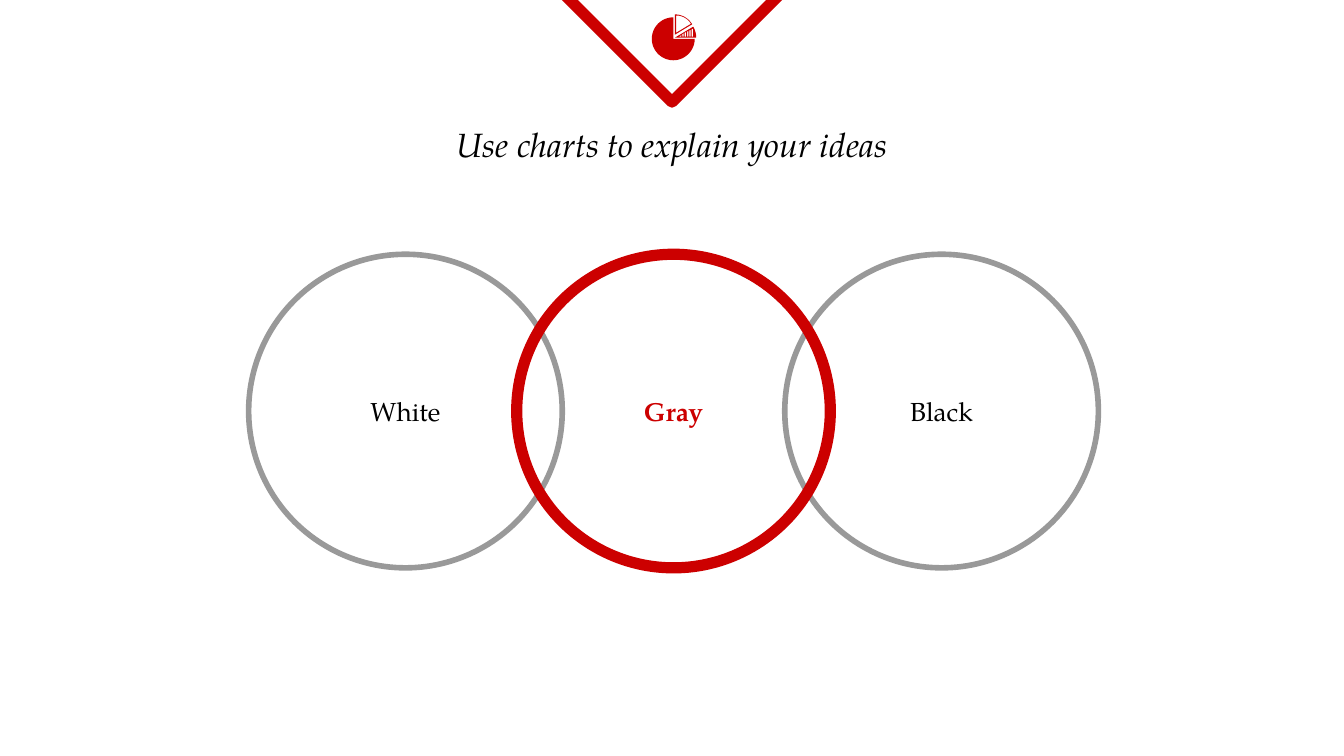
from math import cos, radians, sin

from pptx import Presentation
from pptx.dml.color import RGBColor
from pptx.enum.shapes import MSO_SHAPE
from pptx.enum.text import MSO_ANCHOR, PP_ALIGN
from pptx.util import Pt

TRIANGLE, OVAL = MSO_SHAPE.ISOSCELES_TRIANGLE, MSO_SHAPE.OVAL
TOP, MIDDLE, CENTER = MSO_ANCHOR.TOP, MSO_ANCHOR.MIDDLE, PP_ALIGN.CENTER
FONT = "TeX Gyre Pagella"
RED, GREY, BLACK = "CC0000", "999999", "000000"


def color(hex_value):
    return RGBColor.from_string(hex_value)


def add_outline(slide, kind, x, y, w, h, line, weight):
    s = slide.shapes.add_shape(kind, Pt(x), Pt(y), Pt(w), Pt(h))
    s.shadow.inherit = False
    s.fill.background()
    s.line.color.rgb = color(line)
    s.line.width = Pt(weight)
    return s


def set_text(s, text, size, hex_value, anchor, bold=False, italic=False):
    tf = s.text_frame
    tf.word_wrap = True
    tf.vertical_anchor = anchor
    tf.margin_left = tf.margin_right = tf.margin_top = tf.margin_bottom = Pt(7.2)
    p = tf.paragraphs[0]
    p.alignment = CENTER
    r = p.add_run()
    r.text = text
    r.font.name, r.font.size = FONT, Pt(size)
    r.font.bold, r.font.italic = bold, italic
    r.font.color.rgb = color(hex_value)


def sector(cx, cy, radius, start, end, steps=24):
    """Points of a pie sector, angles in degrees counterclockwise from the right."""
    angles = [radians(start + (end - start) * i / steps) for i in range(steps + 1)]
    return [(cx, cy)] + [(cx + radius * cos(a), cy - radius * sin(a)) for a in angles]


def add_filled(slide, contours):
    contours = [[(Pt(x), Pt(y)) for x, y in points] for points in contours]
    builder = slide.shapes.build_freeform(*contours[0][0])
    for i, points in enumerate(contours):
        if i:
            builder.move_to(*points[0])
        builder.add_line_segments(points[1:], close=True)
    s = builder.convert_to_shape()
    s.shadow.inherit = False
    s.fill.solid()
    s.fill.fore_color.rgb = color(RED)
    s.line.fill.background()


def add_pie_icon(slide, x, y, size):
    radius = size / 2
    cx, cy = x + radius, y + radius
    # Three-quarter disc
    add_filled(slide, [sector(cx, cy, radius, 90, 360, 60)])
    # Small slice with a triangle and bars cut out
    ax, ay = cx + 0.8, cy - 0.6
    base = ay - 0.6
    cuts = [[(ax + 2.2, base), (ax + 3.5, base), (ax + 3.5, base - 0.8)]]
    for i in range(5):
        left = ax + 4.1 + 1.25 * i
        right = left + 0.7
        cuts.append([(left, base), (left, ay - 0.5 * (left - ax)),
                     (right, ay - 0.5 * (right - ax)), (right, base)])
    add_filled(slide, [sector(ax, ay, radius, 0, 31)] + cuts)
    # Raised slice, drawn as an outline
    ax, ay = cx + 0.8, cy - 2.2
    add_filled(slide, [sector(ax, ay, 10.9, 90, 31),
                       sector(ax + 0.8, ay - 1.1, 9.2, 90, 31)])


def add_header(slide, x, y, w, h):
    # Pointer with its icon
    pointer = add_outline(slide, TRIANGLE, x + (w - 118) / 2, y, 118, 59, RED, 6)
    pointer.rotation = 180
    add_pie_icon(slide, x + w / 2 - 10.8, y + 13.6, 23)
    # Title
    title_h = 42.5
    s = slide.shapes.add_textbox(Pt(x), Pt(y + h - title_h), Pt(w), Pt(title_h))
    set_text(s, "Use charts to explain your ideas", 18, BLACK, TOP, italic=True)


def add_rings(slide, x, y, w, h):
    pitch = (w - h) / 2
    # The middle ring comes last so that it lies on top
    rings = [(0, "White", GREY, 3, BLACK), (2, "Black", GREY, 3, BLACK),
             (1, "Gray", RED, 6, RED)]
    for column, label, line, weight, text_color in rings:
        s = add_outline(slide, OVAL, x + column * pitch, y, h, h, line, weight)
        set_text(s, label, 14, text_color, MIDDLE, bold=line == RED)


def main():
    prs = Presentation()
    prs.slide_width, prs.slide_height = Pt(720), Pt(405)
    slide = prs.slides.add_slide(prs.slide_layouts[6])
    add_header(slide, 81.4, -4.3, 557.2, 105.8)
    add_rings(slide, 133.2, 136.2, 455.2, 168)
    prs.save("out.pptx")


if __name__ == "__main__":
    main()
